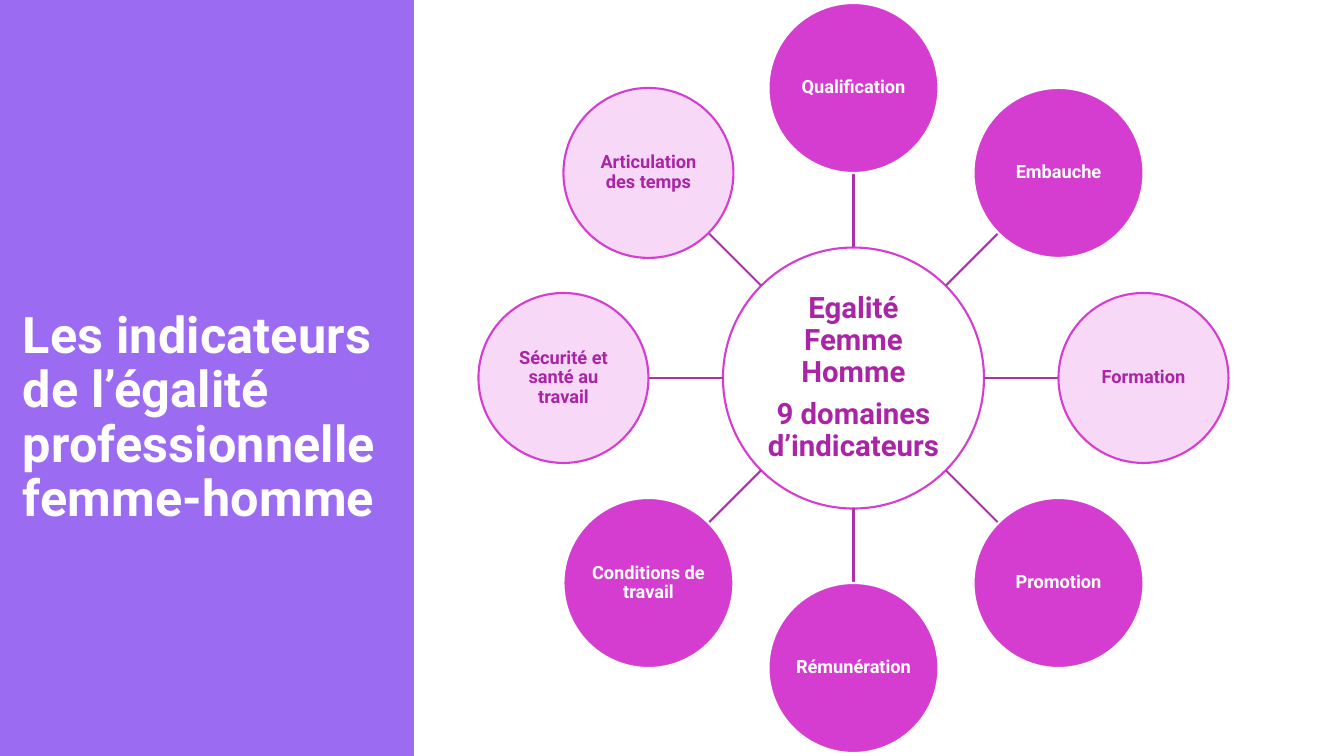
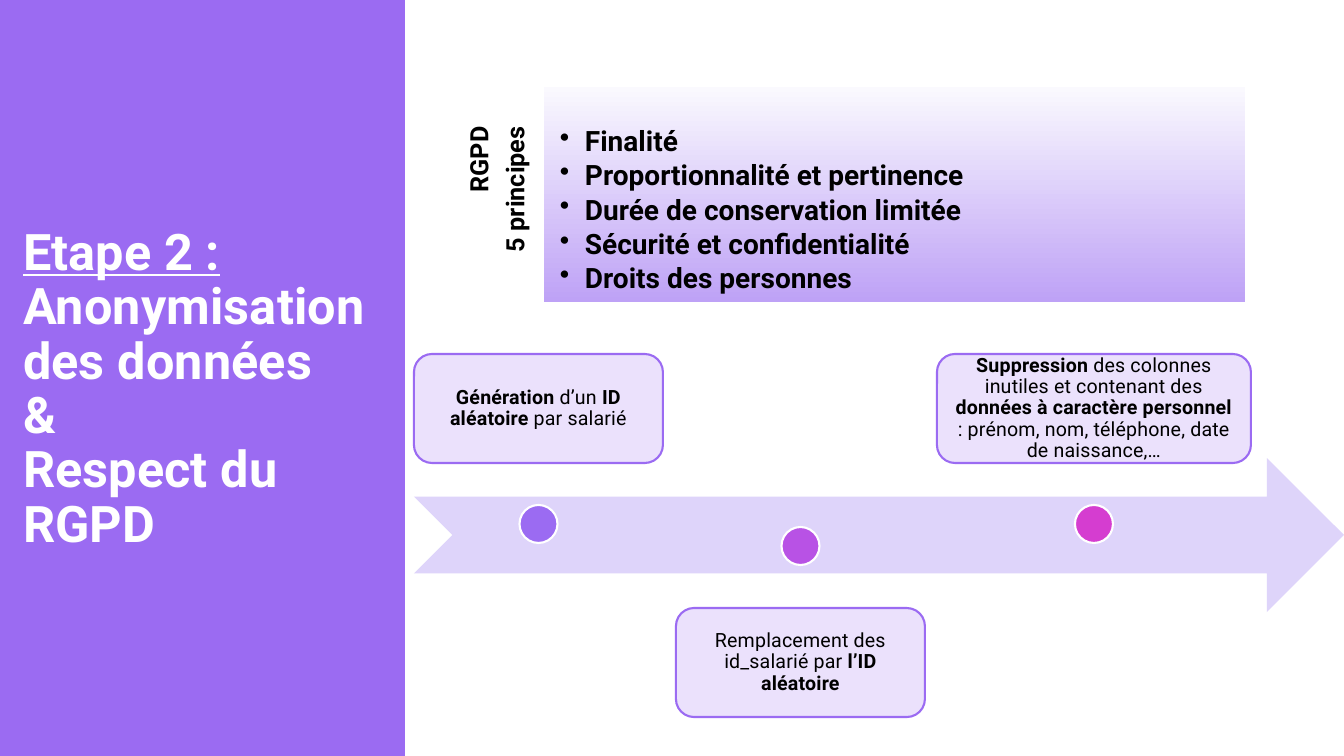
from dataclasses import dataclass
from math import cos, radians, sin

from lxml.etree import SubElement
from pptx import Presentation
from pptx.dml.color import RGBColor
from pptx.enum.shapes import MSO_CONNECTOR, MSO_SHAPE
from pptx.enum.text import MSO_ANCHOR, PP_ALIGN
from pptx.oxml.ns import qn
from pptx.util import Emu, Pt

SLIDE_W, SLIDE_H = 1344, 756
EMU_PER_PX = 12192000 / SLIDE_W


def px(length):
    return Emu(round(length * EMU_PER_PX))


def rgb(code):
    return RGBColor.from_string(code)


@dataclass(frozen=True)
class Theme:
    font: str = "Roboto"
    white: str = "FFFFFF"
    black: str = "000000"
    violet: str = "9B6BF2"
    orchid: str = "B852E5"
    magenta: str = "D53DD0"
    plum: str = "A925A5"
    spoke: str = "AB31A7"
    pink_tint: str = "F7D8F6"
    violet_tint: str = "EBE1FC"
    arrow: str = "DED4FA"
    panel_top: str = "FAF9FE"
    panel_bottom: str = "BEA2F6"
    title_size: int = 36
    hub_size: int = 21
    list_size: int = 20
    label_size: int = 18
    card_size: int = 14
    node_size: int = 13
    line_width: float = 1.5


class Deck:
    def __init__(self, theme):
        self.theme = theme
        self.prs = Presentation()
        self.prs.slide_width, self.prs.slide_height = px(SLIDE_W), px(SLIDE_H)
        self.slide = None

    def new_slide(self):
        self.slide = self.prs.slides.add_slide(self.prs.slide_layouts[6])

    def shape(self, kind, left, top, width, height, fill=None, line=None):
        item = self.slide.shapes.add_shape(
            kind, px(left), px(top), px(width), px(height))
        item.shadow.inherit = False
        if fill:
            item.fill.solid()
            item.fill.fore_color.rgb = rgb(fill)
        else:
            item.fill.background()
        if line:
            item.line.color.rgb = rgb(line)
            item.line.width = Pt(self.theme.line_width)
        else:
            item.line.fill.background()
        return item

    def circle(self, x, y, diameter, fill, line):
        return self.shape(MSO_SHAPE.OVAL, x - diameter / 2, y - diameter / 2,
                          diameter, diameter, fill, line)

    def spoke(self, x1, y1, x2, y2):
        line = self.slide.shapes.add_connector(
            MSO_CONNECTOR.STRAIGHT, px(x1), px(y1), px(x2), px(y2))
        line.line.color.rgb = rgb(self.theme.spoke)
        line.line.width = Pt(self.theme.line_width)
        SubElement(line._element.spPr, qn("a:effectLst"))

    def add_text(self, item, paragraphs, size, color, insets=(1, 1, 1, 1),
                 align=PP_ALIGN.CENTER, anchor=MSO_ANCHOR.MIDDLE,
                 after=0.35, tracking=0, bullet=False):
        """Each paragraph is a list of (text, style); style holds "b" and "u"."""
        frame = item.text_frame
        frame.word_wrap = True
        frame.vertical_anchor = anchor
        (frame.margin_left, frame.margin_top,
         frame.margin_right, frame.margin_bottom) = map(px, insets)
        for index, runs in enumerate(paragraphs):
            par = frame.add_paragraph() if index else frame.paragraphs[0]
            par.alignment = align
            par.line_spacing = 0.9
            par.space_after = Pt(round(size * after, 1))
            if bullet:
                self.add_bullet(par)
            for text, style in runs:
                for number, part in enumerate(text.split("\n")):
                    if number:
                        par.add_line_break()
                    if part:
                        self.add_run(par, part, style, size, color, tracking)

    def add_run(self, par, text, style, size, color, tracking):
        run = par.add_run()
        run.text = text
        font = run.font
        font.name, font.size = self.theme.font, Pt(size)
        font.bold, font.underline = "b" in style, "u" in style
        font.color.rgb = rgb(color)
        if tracking:
            font._element.set("spc", str(tracking))

    def add_bullet(self, par):
        props = par._p.get_or_add_pPr()
        props.set("marL", str(px(25)))
        props.set("indent", str(-px(25)))
        SubElement(props, qn("a:buChar")).set("char", "•")

    def title_band(self, width, runs, bottom=5):
        band = self.shape(MSO_SHAPE.RECTANGLE, 0, 0, width, SLIDE_H,
                          self.theme.violet)
        self.add_text(band, [runs], self.theme.title_size, self.theme.white,
                      insets=(23, 86, 10, bottom), align=PP_ALIGN.LEFT,
                      tracking=10)

    def node(self, x, y, label, tinted):
        t = self.theme
        fill, line, color = ((t.pink_tint, t.magenta, t.plum) if tinted
                             else (t.magenta, t.white, t.white))
        disc = self.circle(x, y, 170, fill, line)
        self.add_text(disc, [[(label, "b")]], t.node_size, color)

    def step(self, left, top, width, runs, dot_y, dot_color):
        t = self.theme
        card = self.shape(MSO_SHAPE.ROUNDED_RECTANGLE, left, top, width, 109,
                          t.violet_tint, t.violet)
        self.add_text(card, [runs], t.card_size, t.black, insets=(11,) * 4,
                      tracking=10)
        self.circle(left + width / 2, dot_y, 38, dot_color, t.white)

    def gradient_panel(self, left, top, width, height):
        t = self.theme
        panel = self.shape(MSO_SHAPE.RECTANGLE, left, top, width, height)
        panel.fill.gradient()
        panel.fill.gradient_angle = 270
        for stop, color, position in zip(panel.fill.gradient_stops,
                                         (t.panel_top, t.panel_bottom), (0, 1)):
            stop.color.rgb = rgb(color)
            stop.position = position
        return panel


def indicators_slide(deck):
    t = deck.theme
    deck.new_slide()
    deck.title_band(414, [
        ("Les indicateurs de l’égalité professionnelle femme-homme", "b")])

    # Central hub
    hub_x, hub_y, hub_diameter, orbit = 853.5, 378, 261, 290
    hub = deck.circle(hub_x, hub_y, hub_diameter, None, t.magenta)
    deck.add_text(hub, [[("Egalité Femme Homme", "b")],
                        [("9 domaines d’indicateurs", "b")]],
                  t.hub_size, t.plum)

    # Domains, clockwise from the top
    domains = [("Qualification", False), ("Embauche", False),
               ("Formation", True), ("Promotion", False),
               ("Rémunération", False), ("Conditions de travail", False),
               ("Sécurité et santé au travail", True),
               ("Articulation des temps", True)]
    for index, (label, tinted) in enumerate(domains):
        angle = radians(index * 360 / len(domains) - 90)
        (x1, y1), (x2, y2), (x, y) = [
            (hub_x + r * cos(angle), hub_y + r * sin(angle))
            for r in (hub_diameter / 2, orbit - 85, orbit)]
        deck.spoke(x1, y1, x2, y2)
        deck.node(x, y, label, tinted)


def anonymisation_slide(deck):
    t = deck.theme
    deck.new_slide()
    deck.title_band(405, [
        ("Etape 2 :", "bu"),
        ("\nAnonymisation\ndes données\n&\nRespect du RGPD", "b")], bottom=62)

    # GDPR principles
    heading = deck.shape(MSO_SHAPE.RECTANGLE, 398, 155, 215, 78)
    heading.rotation = 270
    deck.add_text(heading, [[("RGPD", "b")], [("5 principes", "b")]],
                  t.label_size, t.black, insets=(0, 0, 40, 0),
                  align=PP_ALIGN.RIGHT, anchor=MSO_ANCHOR.TOP)
    principles = ["Finalité", "Proportionnalité et pertinence",
                  "Durée de conservation limitée",
                  "Sécurité et confidentialité", "Droits des personnes"]
    panel = deck.gradient_panel(544, 87, 701, 215)
    deck.add_text(panel, [[(name, "b")] for name in principles],
                  t.list_size, t.black, insets=(16, 40, 16, 16),
                  align=PP_ALIGN.LEFT, anchor=MSO_ANCHOR.TOP,
                  after=0.15, bullet=True)

    # Process arrow and its steps
    deck.shape(MSO_SHAPE.NOTCHED_RIGHT_ARROW, 414, 458, 930, 154, t.arrow)
    upper, lower = (354, 524), (608, 546)
    steps = [
        (414, 249, upper, t.violet, [
            ("Génération", "b"), (" d’un ", ""), ("ID\naléatoire", "b"),
            (" par salarié", "")]),
        (676, 249, lower, t.orchid, [
            ("Remplacement des id_salarié par ", ""), ("l’ID aléatoire", "b")]),
        (937, 314, upper, t.magenta, [
            ("Suppression", "b"), (" des colonnes inutiles et contenant des ", ""),
            ("données à caractère personnel ", "b"),
            (": prénom, nom, téléphone, date de naissance,…", "")]),
    ]
    for left, width, (top, dot_y), color, runs in steps:
        deck.step(left, top, width, runs, dot_y, color)


def main():
    deck = Deck(Theme())
    indicators_slide(deck)
    anonymisation_slide(deck)
    deck.prs.save("out.pptx")


if __name__ == "__main__":
    main()
